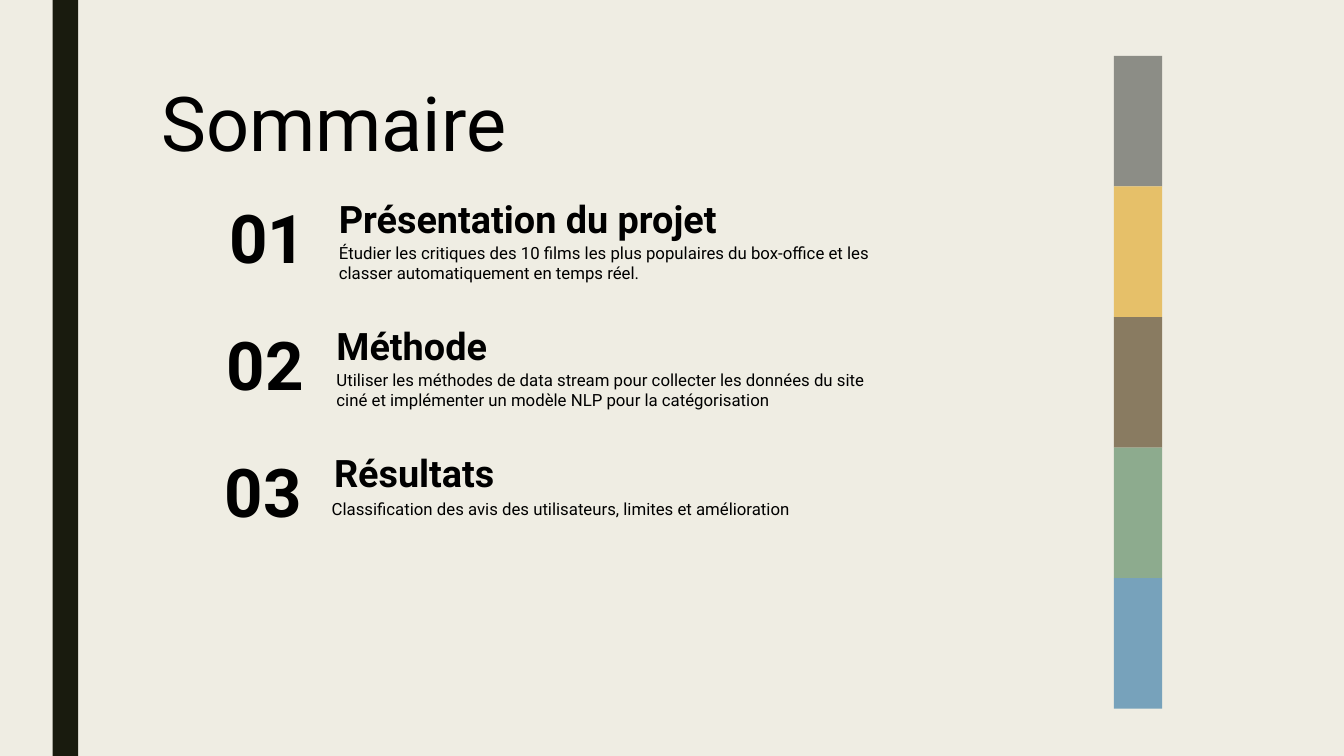
from pptx import Presentation
from pptx.dml.color import RGBColor
from pptx.enum.shapes import MSO_SHAPE
from pptx.enum.text import MSO_ANCHOR, MSO_AUTO_SIZE, PP_ALIGN
from pptx.util import Cm, Pt

RECTANGLE = MSO_SHAPE.RECTANGLE
TOP, MIDDLE = MSO_ANCHOR.TOP, MSO_ANCHOR.MIDDLE
NO_AUTOFIT = MSO_AUTO_SIZE.NONE
LEFT, CENTER = PP_ALIGN.LEFT, PP_ALIGN.CENTER

FONT = "Roboto"
COLORS = {
    "background": "EFEDE3",
    "stripe": "191B0E",
    "text": "000000",
    "gray": "8C8D86",
    "yellow": "E6C069",
    "brown": "897B61",
    "green": "8DAB8E",
    "blue": "77A2BB",
}
PALETTE = ["gray", "yellow", "brown", "green", "blue"]

presentation = Presentation()
presentation.slide_width = Cm(33.87)
presentation.slide_height = Cm(19.05)
slide = presentation.slides.add_slide(presentation.slide_layouts[5])
slide.background.fill.solid()
slide.background.fill.fore_color.rgb = RGBColor.from_string(COLORS["background"])


def add_block(left, top, width, height, color):
    block = slide.shapes.add_shape(RECTANGLE, Cm(left), Cm(top), Cm(width), Cm(height))
    block.shadow.inherit = False
    block.fill.solid()
    block.fill.fore_color.rgb = RGBColor.from_string(COLORS[color])
    block.line.fill.background()


def write_text(holder, box, text, size, bold=False, align=LEFT, inset=0.25, anchor=TOP):
    holder.left, holder.top, holder.width, holder.height = [Cm(length) for length in box]
    frame = holder.text_frame
    frame.text = text
    frame.word_wrap = True
    frame.auto_size = NO_AUTOFIT
    frame.vertical_anchor = anchor
    frame.margin_left = frame.margin_right = Cm(inset)
    frame.margin_top = frame.margin_bottom = Cm(0.13)
    paragraph = frame.paragraphs[0]
    paragraph.alignment = align
    paragraph.font.name = FONT
    paragraph.font.size = Pt(size)
    paragraph.font.bold = bold
    paragraph.font.color.rgb = RGBColor.from_string(COLORS["text"])


add_block(1.33, 0, 0.64, 19.05, "stripe")
write_text(slide.shapes.title, (3.82, 1.78, 19.94, 2.57), "Sommaire", 54, anchor=MIDDLE)

sections = [
    ("Présentation du projet", 8.29, 5.99,
     "Étudier les critiques des 10 films les plus populaires du box-office "
     "et les classer automatiquement en temps réel."),
    ("Méthode", 8.23, 9.19,
     "Utiliser les méthodes de data stream pour collecter les données du site "
     "ciné et implémenter un modèle NLP pour la catégorisation"),
    ("Résultats", 8.11, 12.44,
     "Classification des avis des utilisateurs, limites et amélioration"),
]
add_textbox = slide.shapes.add_textbox
for index, (heading, summary_left, summary_top, summary) in enumerate(sections):
    shift = -0.06 * index
    row_top = 4.8 + 3.2 * index
    write_text(add_textbox(0, 0, 0, 0), (5.2 + shift, row_top + 0.03, 3.1, 2.31),
               f"{index + 1:02}", 48, bold=True, align=CENTER, inset=0.3)
    write_text(add_textbox(0, 0, 0, 0), (8.24 + shift, row_top, 14.53, 1.42),
               heading, 27, bold=True, inset=0.3)
    write_text(add_textbox(0, 0, 0, 0), (summary_left, summary_top, 14.53, 1.27),
               summary, 12)

BLOCK_HEIGHT = 3.29
for index, color in enumerate(PALETTE):
    add_block(28.07, 1.41 + BLOCK_HEIGHT * index, 1.22, BLOCK_HEIGHT, color)

presentation.save("out.pptx")
